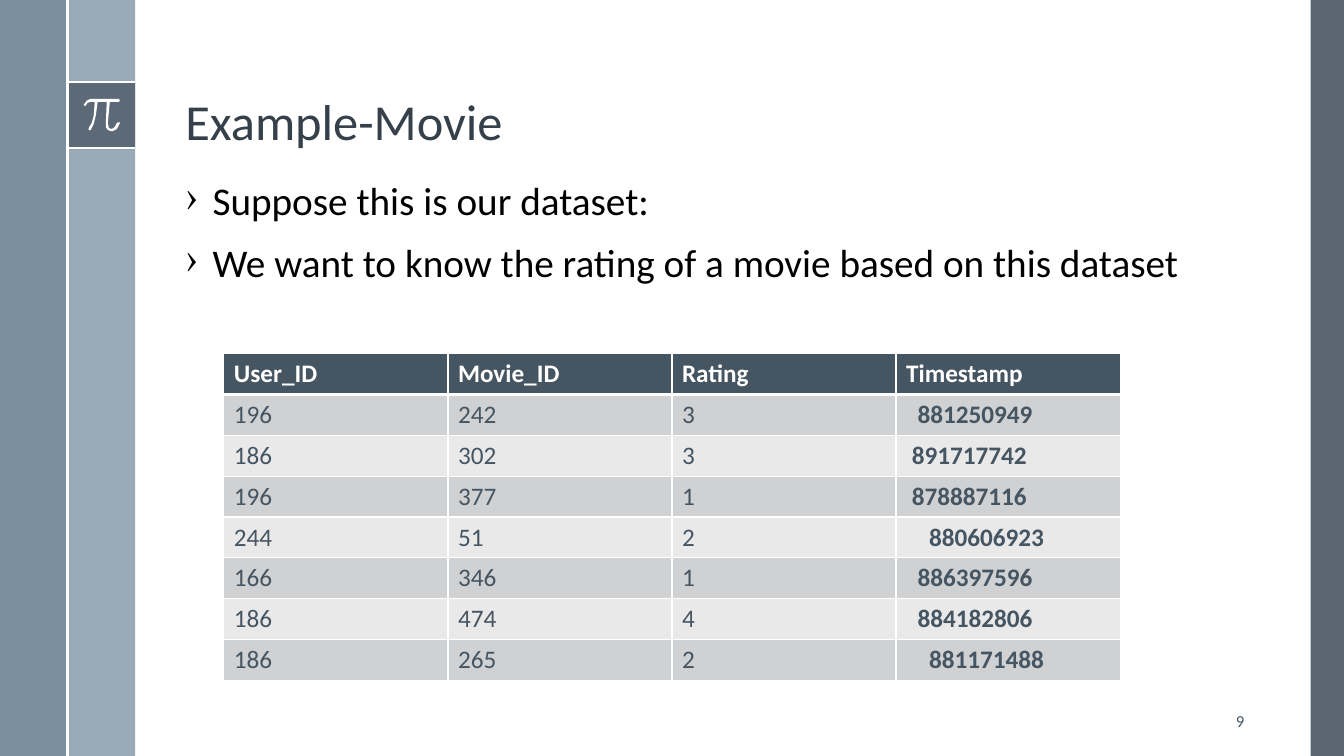
from lxml.etree import SubElement
from pptx import Presentation
from pptx.dml.color import RGBColor
from pptx.enum.shapes import MSO_CONNECTOR, MSO_SHAPE
from pptx.enum.text import MSO_ANCHOR, PP_ALIGN
from pptx.oxml.ns import qn
from pptx.util import Inches, Pt

FONT = "Calibri"
WHITE, SLATE, DARK = "FFFFFF", "465562", "475562"
BANDS = ("CFD1D3", "E9E9EA")
HEADER = ("User_ID", "Movie_ID", "Rating", "Timestamp")
RATINGS = (
    ("196", "242", "3", "881250949"),
    ("186", "302", "3", "891717742"),
    ("196", "377", "1", "878887116"),
    ("244", "51", "2", "880606923"),
    ("166", "346", "1", "886397596"),
    ("186", "474", "4", "884182806"),
    ("186", "265", "2", "881171488"),
)
TIMESTAMP_STEPS = (2, 1, 1, 4, 2, 2, 4)
STEP = 0.057
PI_OUTLINE = (
    (1.18, 0.98), (0.9, 0.98), (0.86, 1), (0.83, 1.04), (0.84, 1.05), (0.85, 1.05),
    (0.87, 1.02), (0.9, 1.01), (0.94, 1.01), (0.93, 1.15), (0.91, 1.22), (0.88, 1.27),
    (0.88, 1.29), (0.9, 1.29), (0.93, 1.23), (0.95, 1.15), (0.97, 1.01), (1.06, 1.01),
    (1.05, 1.22), (1.05, 1.26), (1.07, 1.29), (1.1, 1.3), (1.12, 1.3), (1.16, 1.28),
    (1.19, 1.22), (1.18, 1.21), (1.16, 1.22), (1.14, 1.26), (1.11, 1.28), (1.08, 1.27),
    (1.07, 1.22), (1.09, 1.01), (1.18, 1.01), (1.19, 1),
)


def rgb(color):
    """Turn a hex string into a colour."""
    return RGBColor.from_string(color)


def apply(obj, values):
    """Set each attribute named in a dict."""
    for name, value in values.items():
        setattr(obj, name, value)


def paint(sp, color, alpha=100):
    """Give a shape a flat fill with no line or shadow."""
    sp.shadow.inherit = False
    sp.fill.solid()
    sp.fill.fore_color.rgb = rgb(color)
    sp.line.fill.background()
    if alpha < 100:
        clr = sp.fill._xPr.find(qn("a:solidFill"))[0]
        SubElement(clr, qn("a:alpha"), val=str(alpha * 1000))


def add_bar(s, x, y, w, h, color, alpha=100):
    """Add a plain rectangle."""
    box = map(Inches, (x, y, w, h))
    paint(s.shapes.add_shape(MSO_SHAPE.RECTANGLE, *box), color, alpha)


def add_rule(s, x1, y1, x2, y2):
    """Add a white line."""
    ends = map(Inches, (x1, y1, x2, y2))
    sp = s.shapes.add_connector(MSO_CONNECTOR.STRAIGHT, *ends)
    sp.line.color.rgb = rgb(WHITE)
    sp.line.width = Pt(1.5)
    SubElement(sp._element.spPr, qn("a:effectLst"))


def add_pi(s):
    """Draw the pi sign."""
    points = [(Inches(x), Inches(y)) for x, y in PI_OUTLINE]
    builder = s.shapes.build_freeform(*points[0])
    builder.add_line_segments(points[1:], close=True)
    paint(builder.convert_to_shape(), WHITE)


def write(p, text, size, color, bold=False):
    """Add one formatted run to a paragraph."""
    r = p.add_run()
    r.text = text
    apply(r.font, {"name": FONT, "size": Pt(size), "bold": bold})
    r.font.color.rgb = rgb(color)


def add_text(s, box, lines, size, color, para, anchor=MSO_ANCHOR.TOP, bullet=None):
    """Add a text box with one paragraph per line."""
    tf = s.shapes.add_textbox(*map(Inches, box)).text_frame
    apply(tf, {"word_wrap": True, "vertical_anchor": anchor})
    for i, text in enumerate(lines):
        p = tf.add_paragraph() if i else tf.paragraphs[0]
        apply(p, para)
        write(p, text, size, color)
        if bullet:
            pPr = p._p.get_or_add_pPr()
            apply_indent = {"marL": Inches(0.27), "indent": -Inches(0.27)}
            for name, value in apply_indent.items():
                pPr.set(name, str(value))
            SubElement(pPr, qn("a:buChar"), char=bullet)


def add_border(cell, side, width):
    """Add a white border to one side of a cell."""
    tcPr = cell._tc.get_or_add_tcPr()
    ln = SubElement(tcPr, qn(f"a:ln{side}"), w=str(Pt(width)))
    fill = SubElement(ln, qn("a:solidFill"))
    SubElement(fill, qn("a:srgbClr"), val=WHITE)


def add_ratings(s):
    """Add the banded table of ratings."""
    rows = (HEADER,) + RATINGS
    box = map(Inches, (2.22, 3.51, 8.89, 3.24))
    table = s.shapes.add_table(len(rows), len(HEADER), *box).table
    for i, row in enumerate(rows):
        for j, text in enumerate(row):
            cell = table.cell(i, j)
            for side in "LRTB":
                thick = (i, side) in ((0, "B"), (1, "T"))
                add_border(cell, side, 3 if thick else 1)
            cell.fill.solid()
            cell.fill.fore_color.rgb = rgb(BANDS[(i - 1) % 2] if i else SLATE)
            last = j == len(HEADER) - 1
            if i and last:
                cell.margin_left = Inches(0.1 + STEP * TIMESTAMP_STEPS[i - 1])
            p = cell.text_frame.paragraphs[0]
            write(p, text, 18, SLATE if i else WHITE, i == 0 or last)


def main():
    """Build the slide and save it."""
    prs = Presentation()
    apply(prs, {"slide_width": Inches(13.33), "slide_height": Inches(7.5)})
    s = prs.slides.add_slide(prs.slide_layouts[6])
    add_bar(s, 13, 0, 0.33, 7.5, DARK, 90)
    add_bar(s, 0.67, 0, 0.67, 7.5, "9BAAB7")
    add_bar(s, 0, 0, 0.67, 7.5, "6A8093", 88)
    add_bar(s, 0.67, 0.81, 0.67, 0.67, DARK, 75)
    for y in (0.81, 1.47):
        add_rule(s, 0.67, y, 1.34, y)
    add_pi(s)
    add_rule(s, 0.67, 0, 0.67, 7.5)
    add_text(s, (1.74, 0.19, 10.7, 1.36), ["Example-Movie"], 36, "35404A",
             {"line_spacing": 0.9}, MSO_ANCHOR.BOTTOM)
    add_text(s, (1.74, 1.75, 10.7, 5),
             ["Suppose this is our dataset:",
              "We want to know the rating of a movie based on this dataset"],
             28, "000000", {"line_spacing": 0.9, "space_before": Pt(14)}, bullet="›")
    add_ratings(s)
    add_text(s, (11.77, 6.95, 0.67, 0.4), ["9"], 12, SLATE,
             {"alignment": PP_ALIGN.RIGHT}, MSO_ANCHOR.MIDDLE)
    prs.save("out.pptx")


if __name__ == "__main__":
    main()
